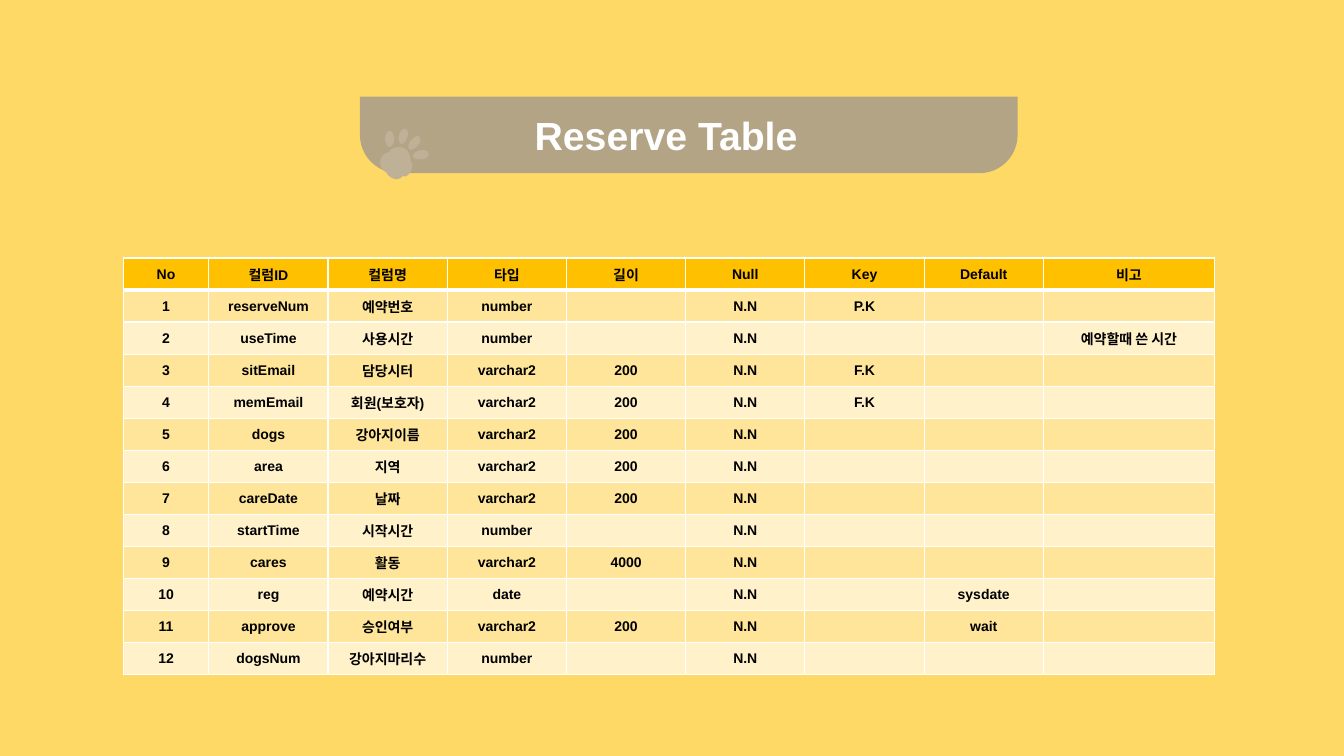
from dataclasses import dataclass

from lxml import etree
from pptx import Presentation
from pptx.dml.color import RGBColor
from pptx.enum.shapes import MSO_SHAPE
from pptx.enum.text import MSO_ANCHOR, MSO_AUTO_SIZE, PP_ALIGN
from pptx.oxml.ns import qn
from pptx.util import Pt

CENTER = PP_ALIGN.CENTER
MIDDLE = MSO_ANCHOR.MIDDLE
GROW = MSO_AUTO_SIZE.SHAPE_TO_FIT_TEXT
BANNER_SHAPE = MSO_SHAPE.ROUND_2_SAME_RECTANGLE


@dataclass(frozen=True)
class Theme:
    """Colours, font and type sizes of the slide."""
    background: str = "FFD966"
    banner: str = "B4A486"
    paw: str = "BFB198"
    header: str = "FFC000"
    odd_row: str = "FEE599"
    even_row: str = "FFF2CB"
    rule: str = "FFFFFF"
    title_text: str = "FFFFFF"
    table_text: str = "000000"
    font: str = "Arial"
    title_size: int = 28
    table_size: int = 10


THEME = Theme()

HEADINGS = ["No", "컬럼ID", "컬럼명", "타입", "길이", "Null", "Key", "Default", "비고"]
COLUMN_WEIGHTS = [61.2] + [85.2] * 7 + [122.4]
FIELDS = [
    ("reserveNum", "예약번호", "number", "", "P.K", "", ""),
    ("useTime", "사용시간", "number", "", "", "", "예약할때 쓴 시간"),
    ("sitEmail", "담당시터", "varchar2", "200", "F.K", "", ""),
    ("memEmail", "회원(보호자)", "varchar2", "200", "F.K", "", ""),
    ("dogs", "강아지이름", "varchar2", "200", "", "", ""),
    ("area", "지역", "varchar2", "200", "", "", ""),
    ("careDate", "날짜", "varchar2", "200", "", "", ""),
    ("startTime", "시작시간", "number", "", "", "", ""),
    ("cares", "활동", "varchar2", "4000", "", "", ""),
    ("reg", "예약시간", "date", "", "", "sysdate", ""),
    ("approve", "승인여부", "varchar2", "200", "", "wait", ""),
    ("dogsNum", "강아지마리수", "number", "", "", "", ""),
]

PAW_UNITS = 49
OUTER_TOE = [
    [(43, 22)], [(46, 22), (48, 24), (48, 25)], [(49, 28), (46, 31), (42, 31)],
    [(37, 32), (33, 31), (33, 28)], [(32, 26), (36, 23), (40, 22)],
    [(41, 22), (42, 22), (43, 22)],
]
PAD = [
    [(19, 19)], [(25, 19), (30, 24), (30, 31)], [(30, 32)], [(31, 34)],
    [(32, 35), (32, 36), (32, 38)], [(32, 42), (29, 46), (26, 48)],
    [(22, 48)], [(20, 50)], [(19, 50), (17, 51), (16, 51)],
    [(13, 51), (10, 49), (8, 47)], [(6, 44)], [(3, 42)],
    [(1, 40), (0, 38), (0, 35)], [(0, 30), (3, 26), (6, 25)],
    [(9, 24)], [(10, 22)], [(12, 20), (15, 19), (19, 19)],
]
RIGHT_TOE = [
    [(37, 8)], [(38, 9), (39, 9), (39, 9)], [(41, 11), (40, 15), (37, 18)],
    [(34, 21), (30, 23), (29, 21)], [(27, 19), (28, 15), (31, 12)],
    [(33, 10), (35, 8), (37, 8)],
]
LEFT_TOE = [
    [(9, 3)], [(12, 3), (14, 6), (14, 11)], [(14, 15), (12, 19), (9, 19)],
    [(7, 19), (5, 15), (5, 11)], [(5, 6), (7, 3), (9, 3)],
]
MIDDLE_TOE = [
    [(25, 1)], [(27, 1), (29, 5), (27, 9)], [(26, 13), (23, 16), (21, 16)],
    [(19, 15), (17, 11), (19, 7)], [(20, 3), (23, 0), (25, 1)],
]
PAW = [OUTER_TOE, PAD, RIGHT_TOE, LEFT_TOE, MIDDLE_TOE]


def rgb(color):
    """Turn a hex string into a colour."""
    return RGBColor.from_string(color)


def fill_flat(shape, color):
    """Give a shape a plain fill without line or shadow."""
    shape.fill.solid()
    shape.fill.fore_color.rgb = rgb(color)
    shape.line.fill.background()
    shape.shadow.inherit = False


def style_paragraph(paragraph, size, color):
    """Centre a paragraph and set its bold font."""
    paragraph.alignment = CENTER
    font = paragraph.font
    font.name, font.size, font.bold = THEME.font, Pt(size), True
    font.color.rgb = rgb(color)


def bend_lines(shape, outlines):
    """Join each three lines that hold a curve's points into that curve."""
    lines = iter(list(shape._element.iter(qn("a:lnTo"))))
    for outline in outlines:
        for segment in outline[1:]:
            first, *others = [next(lines) for _ in segment]
            if others:
                first.tag = qn("a:cubicBezTo")
                for line in others:
                    first.append(line[0])
                    line.getparent().remove(line)


def add_paw(parts, left, top, width):
    """Draw the paw print as one outline of pad and toes."""
    unit = width / PAW_UNITS
    outlines = [[(Pt(left + x * unit), Pt(top + y * unit)) for segment in outline
                 for x, y in segment] for outline in PAW]
    builder = parts.build_freeform(*outlines[0][0])
    builder.add_line_segments(outlines[0][1:])
    for outline in outlines[1:]:
        builder.move_to(*outline[0])
        builder.add_line_segments(outline[1:])
    paw = builder.convert_to_shape()
    bend_lines(paw, PAW)
    fill_flat(paw, THEME.paw)


def add_banner(slide, left, top, width, height):
    """Place the title banner with its heading and paw print."""
    parts = slide.shapes.add_group_shape().shapes
    banner = parts.add_shape(BANNER_SHAPE, Pt(left), Pt(top), Pt(width), Pt(height))
    banner.rotation = 180
    banner.adjustments[0], banner.adjustments[1] = 0.5, 0
    fill_flat(banner, THEME.banner)
    title = parts.add_textbox(Pt(left + 116), Pt(top + 7), Pt(205.2), Pt(40.3))
    title.text_frame.word_wrap = True
    title.text_frame.auto_size = GROW
    heading = title.text_frame.paragraphs[0]
    heading.text = "Reserve Table"
    style_paragraph(heading, THEME.title_size, THEME.title_text)
    add_paw(parts, left + 14.4, top + 22.4, 35.3)


def add_borders(cell, top_weight, bottom_weight):
    """Draw the four rules of a cell."""
    weights = {"a:lnL": 1, "a:lnR": 1, "a:lnT": top_weight, "a:lnB": bottom_weight}
    properties = cell._tc.get_or_add_tcPr()
    for side, weight in weights.items():
        rule = etree.SubElement(properties, qn(side), w=str(Pt(weight)))
        paint = etree.SubElement(rule, qn("a:solidFill"))
        etree.SubElement(paint, qn("a:srgbClr"), val=THEME.rule)


def add_fields_table(slide, left, top, width, height):
    """Place the table of column definitions."""
    rows = [HEADINGS]
    for number, (*definition, key, default, remark) in enumerate(FIELDS, 1):
        rows.append([str(number), *definition, "N.N", key, default, remark])
    frame = slide.shapes.add_table(len(rows), len(HEADINGS),
                                   Pt(left), Pt(top), Pt(width), Pt(height))
    table = frame.table
    for column, weight in zip(table.columns, COLUMN_WEIGHTS):
        column.width = Pt(width * weight / sum(COLUMN_WEIGHTS))
    for index, row in enumerate(rows):
        table.rows[index].height = Pt(height / len(rows))
        band = THEME.odd_row if index % 2 else THEME.even_row
        for position, value in enumerate(row):
            cell = table.cell(index, position)
            add_borders(cell, 3 if index == 1 else 1, 3 if index == 0 else 1)
            cell.fill.solid()
            cell.fill.fore_color.rgb = rgb(band if index else THEME.header)
            cell.vertical_anchor = MIDDLE
            cell.margin_left = cell.margin_right = cell.margin_top = Pt(0.7)
            cell.margin_bottom = 0
            entry = cell.text_frame.paragraphs[0]
            if value:
                entry.text = value
            style_paragraph(entry, THEME.table_size, THEME.table_text)


def main():
    """Build and save the slide."""
    deck = Presentation()
    deck.slide_width, deck.slide_height = Pt(960), Pt(540)
    slide = deck.slides.add_slide(deck.slide_layouts[6])
    slide.background.fill.solid()
    slide.background.fill.fore_color.rgb = rgb(THEME.background)
    add_fields_table(slide, 88, 184.3, 779.8, 297.5)
    add_banner(slide, 257.1, 69, 469.8, 54.7)
    deck.save("out.pptx")


if __name__ == "__main__":
    main()
